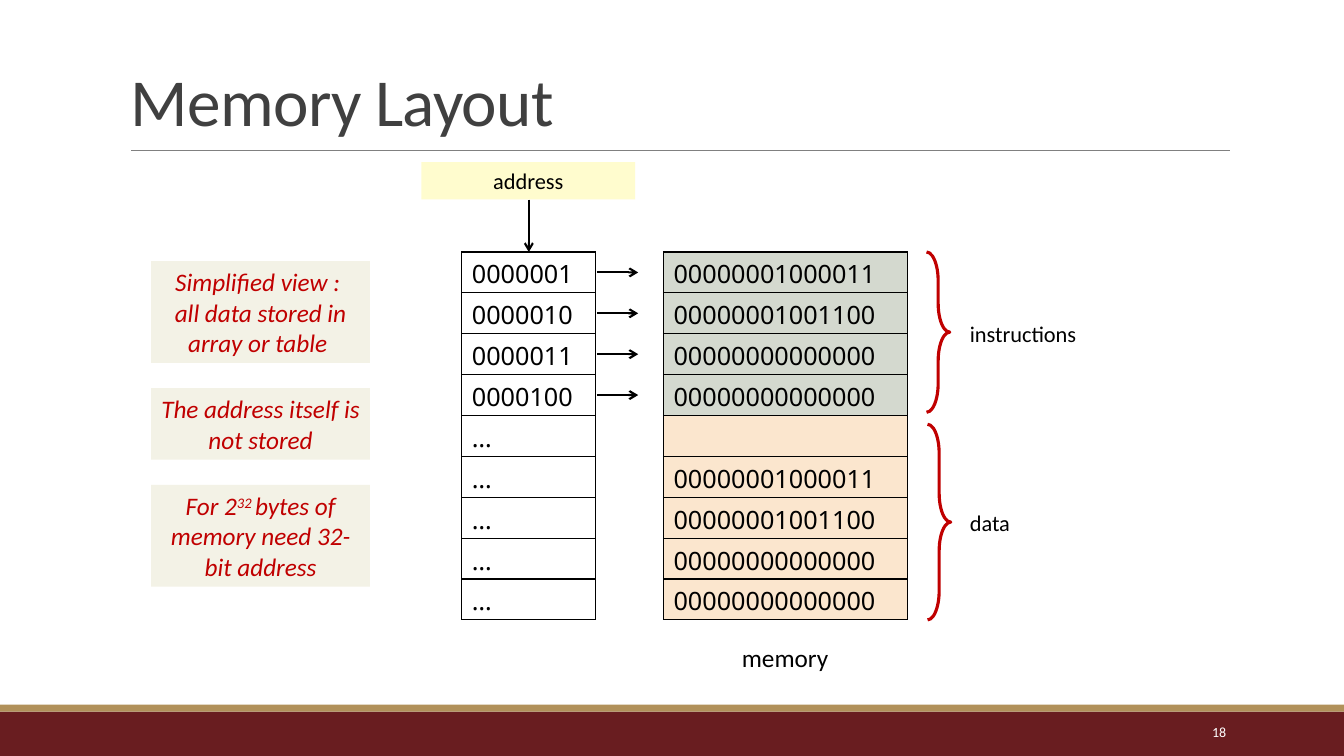
from lxml import etree
from pptx import Presentation
from pptx.dml.color import RGBColor
from pptx.enum.shapes import MSO_CONNECTOR, MSO_SHAPE
from pptx.enum.text import MSO_ANCHOR, PP_ALIGN
from pptx.oxml.ns import qn
from pptx.util import Inches, Pt

LEFT, CENTER, RIGHT = PP_ALIGN.LEFT, PP_ALIGN.CENTER, PP_ALIGN.RIGHT
TOP, MIDDLE, BOTTOM = MSO_ANCHOR.TOP, MSO_ANCHOR.MIDDLE, MSO_ANCHOR.BOTTOM
RECTANGLE, BRACE = MSO_SHAPE.RECTANGLE, MSO_SHAPE.RIGHT_BRACE
STRAIGHT = MSO_CONNECTOR.STRAIGHT

# Content
TITLE = "Memory Layout"
PAGE_NUMBER = "18"
ADDRESSES = ["0000001", "0000010", "0000011", "0000100"] + ["…"] * 5
INSTRUCTIONS = ["00000001000011", "00000001001100", "00000000000000", "00000000000000"]
DATA = [""] + INSTRUCTIONS
# Each note: paragraphs of (text, is superscript) runs
NOTES = [
    [[("Simplified view : ", False)], [("all data stored in array or table ", False)]],
    [[("The address itself is not stored", False)]],
    [[("For 2", False), ("32 ", True), ("bytes of memory need 32-bit address", False)]],
]
NOTE_LINES = [3, 2, 3]
# Each group: label, label top, brace left, brace top, brace height
GROUPS = [
    ("instructions", 3.13, 9.19, 2.5, 1.59),
    ("data", 5, 9.2, 4.21, 1.94),
]

# Colours
BLACK, WHITE, RED = "000000", "FFFFFF", "C00000"
GREEN, ORANGE, YELLOW, CREAM = "D4D9CF", "FBE6CE", "FFFCCE", "F3F2E6"
MAROON, GOLD, GRAY, DARK = "691D20", "B1915A", "808080", "404040"

# Layout
WIDTH, HEIGHT = 13.33, 7.5
TABLE_TOP, TABLE_HEIGHT = 2.5, 3.65
ROW = TABLE_HEIGHT / len(ADDRESSES)
ADDRESS_LEFT, ADDRESS_WIDTH = 4.58, 1.33
MEMORY_LEFT, MEMORY_WIDTH = 6.58, 2.42
ARROW_LEFT, ARROW_LENGTH = 5.92, 0.41
NOTE_LEFT, NOTE_TOP, NOTE_WIDTH = 1.5, 2.59, 2.17
NOTE_LINE, NOTE_GAP = 0.3, 0.25

presentation = Presentation()
presentation.slide_width, presentation.slide_height = Inches(WIDTH), Inches(HEIGHT)
slide = presentation.slides.add_slide(presentation.slide_layouts[6])
shapes = slide.shapes


def color(value):
    return RGBColor.from_string(value)


def box(*frame):
    return [Inches(length) for length in frame]


def add_run(paragraph, text, size, ink, font="Calibri", italic=False):
    run = paragraph.add_run()
    run.text = text
    run.font.size, run.font.name, run.font.italic = Pt(size), font, italic
    run.font.color.rgb = color(ink)
    return run


def add_rectangle(frame, fill):
    shape = shapes.add_shape(RECTANGLE, *box(*frame))
    shape.shadow.inherit = False
    shape.fill.solid()
    shape.fill.fore_color.rgb = color(fill)
    shape.line.fill.background()
    return shape


def add_label(frame, text, size, ink=BLACK, align=LEFT, anchor=TOP, wrap=True):
    text_frame = shapes.add_textbox(*box(*frame)).text_frame
    text_frame.word_wrap, text_frame.vertical_anchor = wrap, anchor
    paragraph = text_frame.paragraphs[0]
    paragraph.alignment = align
    return paragraph, add_run(paragraph, text, size, ink)


def add_line(start, end, ink, width, arrow=False):
    connector = shapes.add_connector(STRAIGHT, *box(*start, *end))
    connector.line.color.rgb, connector.line.width = color(ink), Pt(width)
    if arrow:
        tail = etree.SubElement(connector.line._get_or_add_ln(), qn("a:tailEnd"))
        tail.set("type", "arrow")
    etree.SubElement(connector._element.spPr, qn("a:effectLst"))


def add_borders(cell):
    properties = cell._tc.get_or_add_tcPr()
    for index, side in enumerate(("lnL", "lnR", "lnT", "lnB")):
        border = etree.Element(qn("a:" + side), w=str(Pt(1)))
        fill = etree.SubElement(border, qn("a:solidFill"))
        etree.SubElement(fill, qn("a:srgbClr"), val=BLACK)
        properties.insert(index, border)


def add_column(left, width, values, fills, bottom_margin):
    frame = box(left, TABLE_TOP, width, TABLE_HEIGHT)
    table = shapes.add_table(len(values), 1, *frame).table
    table.first_row = table.horz_banding = False
    for index, (value, fill) in enumerate(zip(values, fills)):
        table.rows[index].height = Inches(ROW)
        cell = table.cell(index, 0)
        cell.margin_bottom = Inches(bottom_margin)
        cell.fill.solid()
        cell.fill.fore_color.rgb = color(fill)
        add_borders(cell)
        add_run(cell.text_frame.paragraphs[0], value, 18, BLACK, "Noto Sans")


# Footer bands, title and rule
add_rectangle((0, 7.06, WIDTH, 0.44), MAROON)
add_rectangle((0, 6.99, WIDTH, 0.07), GOLD)
add_line((1.3, 1.49), (12.2, 1.49), GRAY, 0.5)
title, title_run = add_label((1.2, 0.31, 11, 1.13), TITLE, 48, DARK, anchor=BOTTOM)
title.line_spacing = 0.85
title_run.font._element.set("spc", "-50")
add_label((10.83, 7.06, 1.43, 0.4), PAGE_NUMBER, 10, WHITE, RIGHT, MIDDLE)

# Memory and address tables
memory_fills = [GREEN] * len(INSTRUCTIONS) + [ORANGE] * len(DATA)
add_column(MEMORY_LEFT, MEMORY_WIDTH, INSTRUCTIONS + DATA, memory_fills, 0.05)
add_column(ADDRESS_LEFT, ADDRESS_WIDTH, ADDRESSES, [WHITE] * len(ADDRESSES), 0.01)
add_label((7.26, 6.32, 1.07, 0.4), "memory", 18, wrap=False)

# Address heading and arrows
address_center = ADDRESS_LEFT + ADDRESS_WIDTH / 2
heading = add_rectangle((4.18, 1.61, 2.12, 0.37), YELLOW)
heading_paragraph = heading.text_frame.paragraphs[0]
heading_paragraph.alignment = CENTER
add_run(heading_paragraph, "address", 16, BLACK)
add_line((address_center, 1.98), (address_center, TABLE_TOP), BLACK, 1.5, True)
for index in range(len(INSTRUCTIONS)):
    y = TABLE_TOP + ROW * (index + 0.5)
    add_line((ARROW_LEFT, y), (ARROW_LEFT + ARROW_LENGTH, y), BLACK, 1.5, True)

# Notes, stacked with equal gaps
note_top = NOTE_TOP
for paragraphs, lines in zip(NOTES, NOTE_LINES):
    note_height = lines * NOTE_LINE + 0.11
    note = add_rectangle((NOTE_LEFT, note_top, NOTE_WIDTH, note_height), CREAM)
    text_frame = note.text_frame
    text_frame.word_wrap = True
    for index, runs in enumerate(paragraphs):
        paragraph = text_frame.add_paragraph() if index else text_frame.paragraphs[0]
        paragraph.alignment = CENTER
        for text, superscript in runs:
            run = add_run(paragraph, text, 18, RED, italic=True)
            if superscript:
                run.font._element.set("baseline", "30000")
    note_top += note_height + NOTE_GAP

# Braces and their labels
for label, label_top, left, top, height in GROUPS:
    brace = shapes.add_shape(BRACE, *box(left, top, 0.23, height))
    brace.shadow.inherit = False
    brace.adjustments[0], brace.adjustments[1] = 1.25, 0.5
    brace.fill.background()
    brace.line.color.rgb, brace.line.width = color(RED), Pt(2.25)
    add_label((9.52, label_top, 1.42, 0.37), label, 16)

presentation.save("out.pptx")
